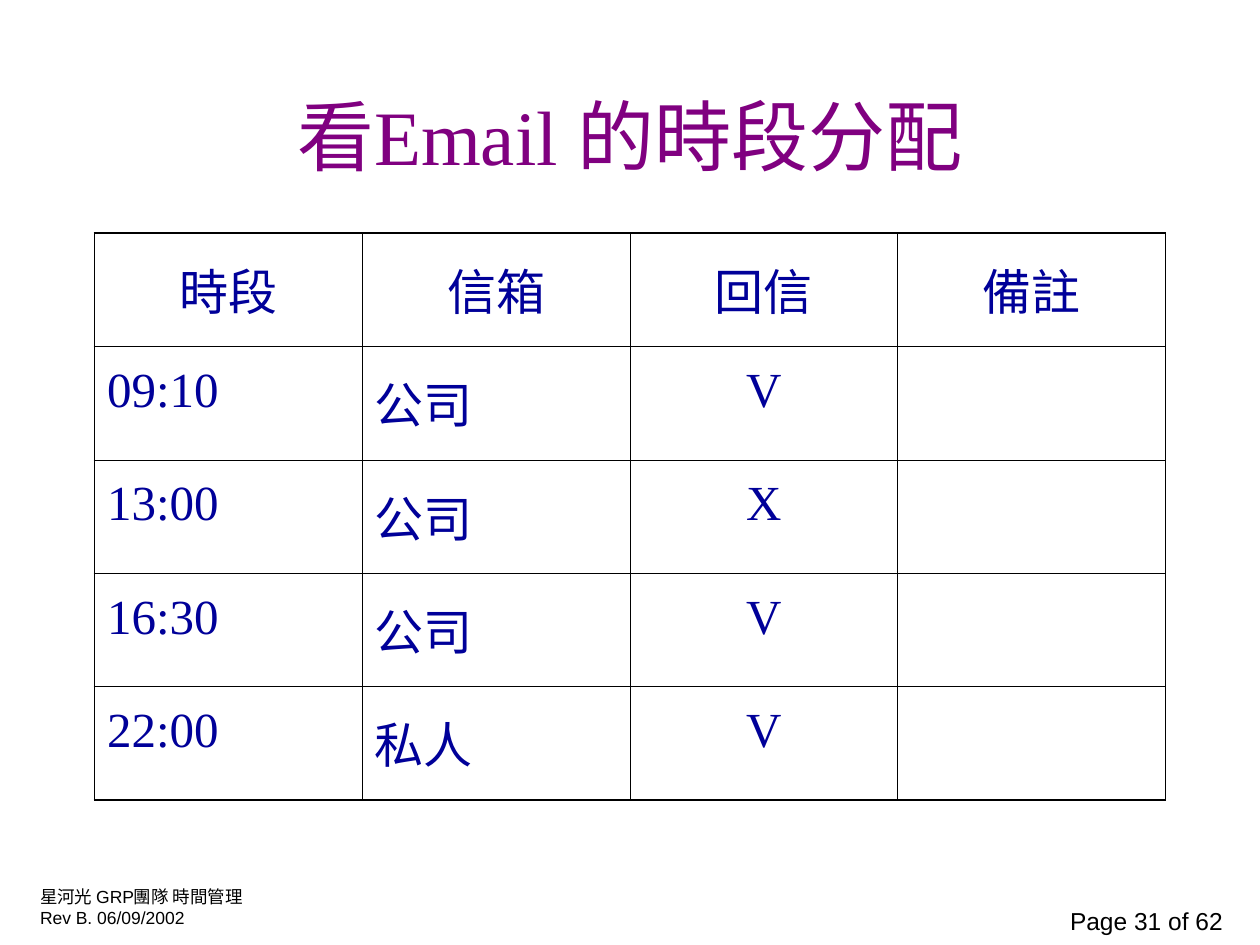
from lxml.etree import SubElement
from pptx import Presentation
from pptx.dml.color import RGBColor
from pptx.enum.text import MSO_ANCHOR, PP_ALIGN
from pptx.oxml.ns import qn
from pptx.util import Pt

BLACK = RGBColor(0x00, 0x00, 0x00)
NAVY = RGBColor(0x00, 0x00, 0x99)
PURPLE = RGBColor(0x80, 0x00, 0x80)
SERIF, SANS = "Times New Roman", "Arial"
LEFT, MID, RIGHT = PP_ALIGN.LEFT, PP_ALIGN.CENTER, PP_ALIGN.RIGHT
THIN, THICK = 0.45, 1.08

ROWS = [
    ("時段", "信箱", "回信", "備註"),
    ("09:10", "公司", "V", ""),
    ("13:00", "公司", "X", ""),
    ("16:30", "公司", "V", ""),
    ("22:00", "私人", "V", ""),
]


class Deck:
    """Holds the text style and the current slide, and draws its elements."""

    def __init__(self, slide):
        self.slide = slide
        self.lead = 1.2

    def label(self, para, text, size, font, color, align):
        para.alignment = align
        run = para.add_run()
        run.text = text
        run.font.size = Pt(size)
        run.font.name = font
        run.font.color.rgb = color

    def text(self, box, lines, size, font, color, align=LEFT,
             anchor=MSO_ANCHOR.TOP, wrap=False):
        frame = self.slide.shapes.add_textbox(*map(Pt, box)).text_frame
        frame.word_wrap = wrap
        frame.vertical_anchor = anchor
        for i, line in enumerate(lines):
            para = frame.add_paragraph() if i else frame.paragraphs[0]
            self.label(para, line, size, font, color, align)

    def border(self, cell, side, width):
        props = cell._tc.get_or_add_tcPr()
        line = SubElement(props, qn("a:ln" + side), w=str(Pt(width)))
        fill = SubElement(line, qn("a:solidFill"))
        SubElement(fill, qn("a:srgbClr"), val=str(BLACK))

    def table(self, box, rows, size, font, color):
        last, end = len(rows) - 1, len(rows[0]) - 1
        grid = self.slide.shapes.add_table(last + 1, end + 1, *map(Pt, box)).table
        grid.first_row = grid.horz_banding = False
        for r, row in enumerate(rows):
            for c, text in enumerate(row):
                cell = grid.cell(r, c)
                edges = {"L": c == 0, "R": c == end, "T": r == 0, "B": r == last}
                for side, outer in edges.items():
                    self.border(cell, side, THICK if outer else THIN)
                cell.fill.background()
                if text:
                    para = cell.text_frame.paragraphs[0]
                    para.line_spacing = self.lead
                    align = MID if r == 0 or c == 2 else LEFT
                    self.label(para, text, size, font, color, align)


def main():
    prs = Presentation()
    prs.slide_width, prs.slide_height = Pt(720), Pt(540)
    deck = Deck(prs.slides.add_slide(prs.slide_layouts[6]))
    deck.text((604, 514, 102, 24), ["Page 31 of 62"], 14, SANS, BLACK, RIGHT)
    deck.text((15.8, 502.6, 135.4, 31.7),
              ["星河光 GRP團隊 時間管理", "Rev B. 06/09/2002"], 10, SANS, BLACK)
    deck.text((54, 31.7, 612, 90), ["看Email 的時段分配"], 44, SERIF, PURPLE,
              MID, MSO_ANCHOR.MIDDLE, True)
    deck.table((54, 133.2, 612, 324), ROWS, 28, SERIF, NAVY)
    prs.save("out.pptx")


if __name__ == "__main__":
    main()
